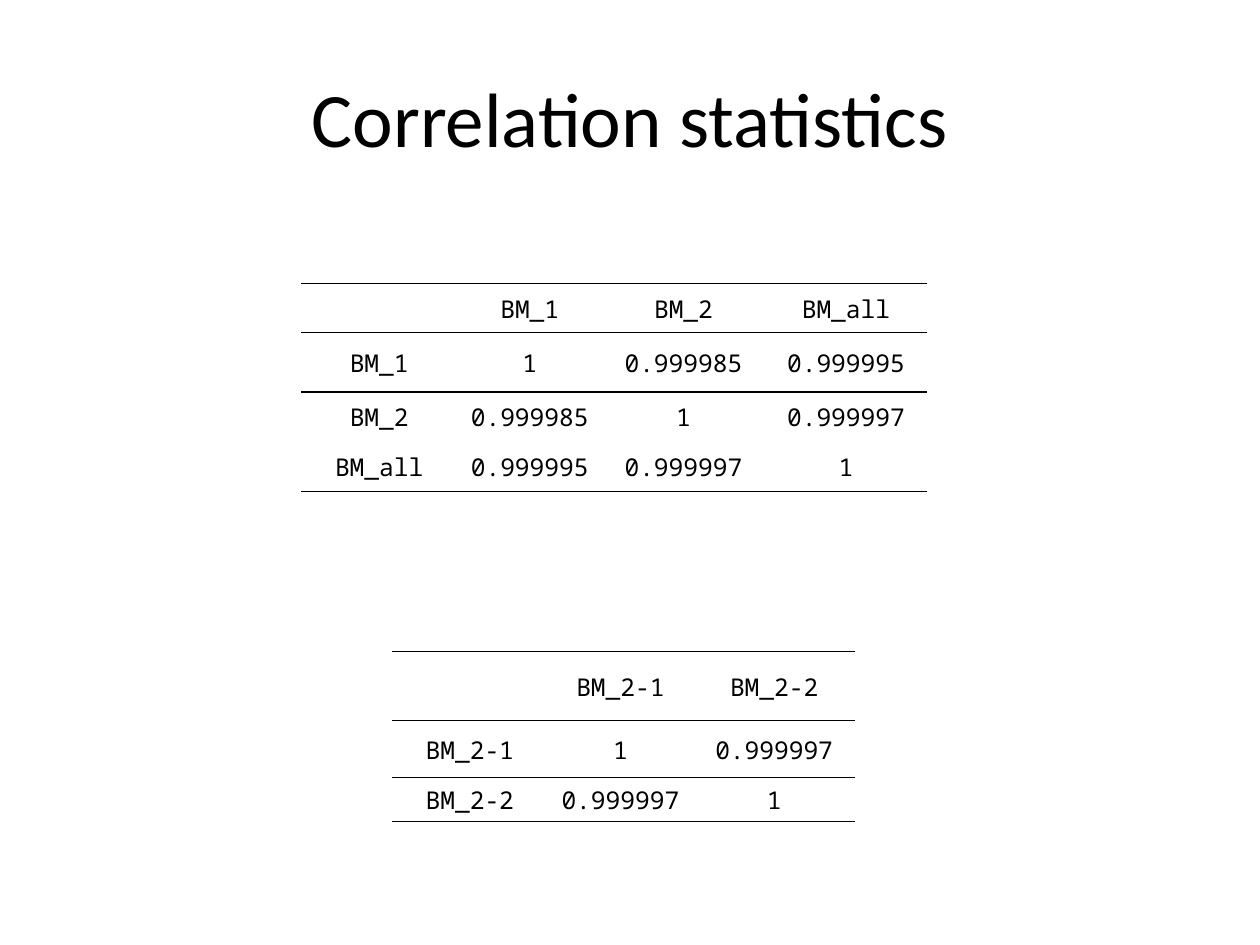
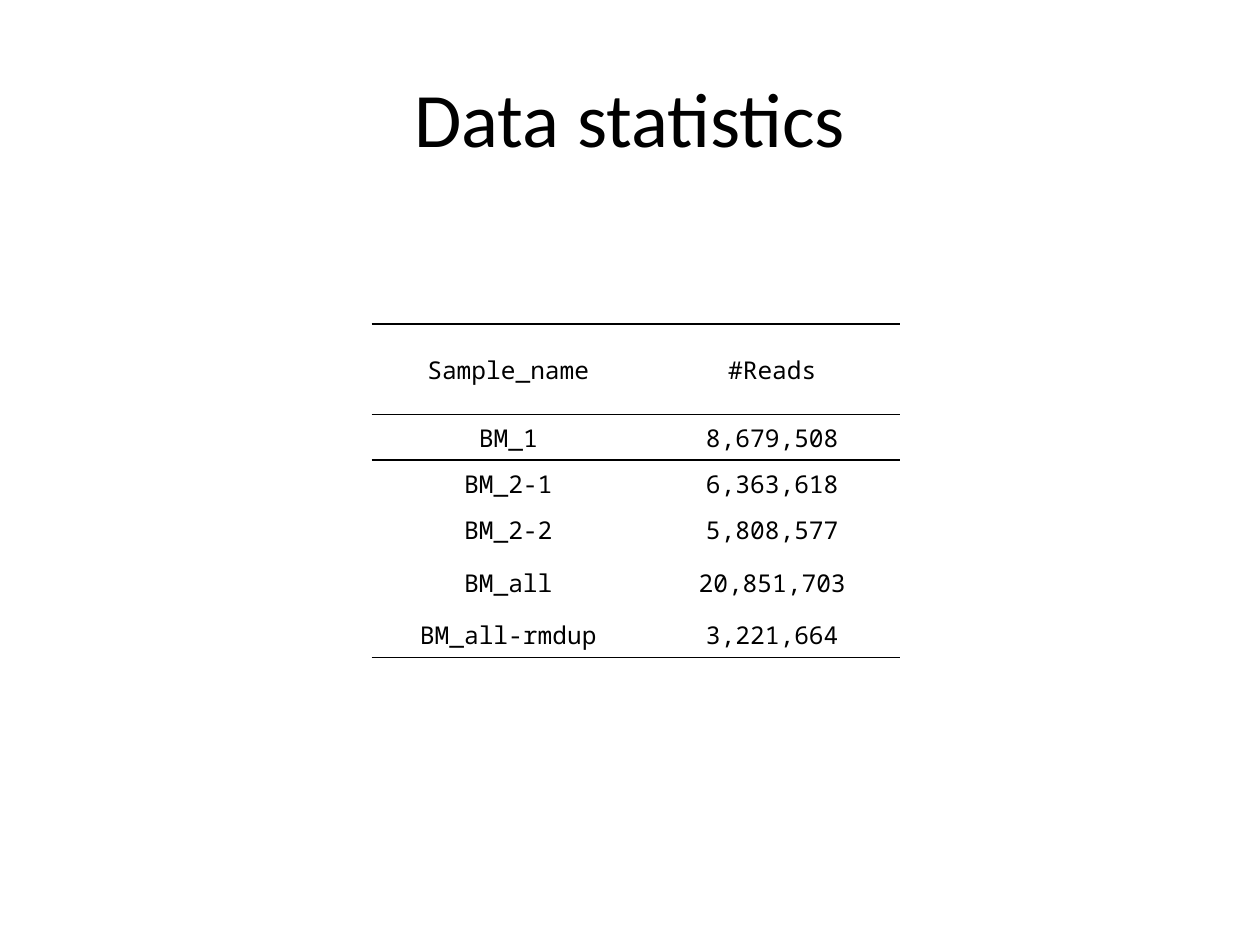
from lxml.etree import SubElement
from pptx import Presentation
from pptx.dml.color import RGBColor
from pptx.enum.text import MSO_ANCHOR as Anchor, PP_ALIGN as Align
from pptx.oxml.ns import qn
from pptx.util import Inches, Pt

INK = "000000"
TITLE_FONT, TITLE_SIZE = "Calibri", 44
TABLE_FONT, TABLE_SIZE = "Noto Sans Mono", 14
RULE_WIDTH = 1
PLAIN_TABLE_STYLE = "{2D5ABB26-0587-4C30-8999-92F81FD0307C}"

SLIDES = [
    ("Correlation statistics", [
        {"left": 2.39, "top": 2.25,
         "columns": [1.24, 1.15, 1.29, 1.29],
         "rows": [0.39, 0.47, 0.39, 0.4],
         "values": [["", "BM_1", "BM_2", "BM_all"],
                    ["BM_1", "1", "0.999985", "0.999995"],
                    ["BM_2", "0.999985", "1", "0.999997"],
                    ["BM_all", "0.999995", "0.999997", "1"]]},
        {"left": 3.11, "top": 5.17,
         "columns": [1.24, 1.15, 1.29],
         "rows": [0.55, 0.45, 0.35],
         "values": [["", "BM_2-1", "BM_2-2"],
                    ["BM_2-1", "1", "0.999997"],
                    ["BM_2-2", "0.999997", "1"]]},
    ]),
    ("Data statistics", [
        {"left": 2.95, "top": 2.57,
         "columns": [2.17, 2.02],
         "rows": [0.72, 0.36, 0.37, 0.37, 0.46, 0.37],
         "values": [["Sample_name", "#Reads"],
                    ["BM_1", "8,679,508"],
                    ["BM_2-1", "6,363,618"],
                    ["BM_2-2", "5,808,577"],
                    ["BM_all", "20,851,703"],
                    ["BM_all-rmdup", "3,221,664"]]},
    ]),
]


def write_centred(text_frame, text, font_name, size):
    paragraph = text_frame.paragraphs[0]
    paragraph.alignment = Align.CENTER
    run = paragraph.add_run()
    run.text = text
    run.font.name = font_name
    run.font.size = Pt(size)
    run.font.color.rgb = RGBColor.from_string(INK)


def add_rule(cell, side):
    """Draw the cell's top (lnT) or bottom (lnB) border."""
    properties = cell._tc.get_or_add_tcPr()
    line = SubElement(properties, qn(f"a:{side}"), w=str(Pt(RULE_WIDTH)))
    fill = SubElement(line, qn("a:solidFill"))
    SubElement(fill, qn("a:srgbClr"), val=INK)


presentation = Presentation()
presentation.slide_width = Inches(10)
presentation.slide_height = Inches(7.5)
blank_layout = presentation.slide_layouts[6]

for title, tables in SLIDES:
    slide = presentation.slides.add_slide(blank_layout)
    title_box = slide.shapes.add_textbox(Inches(0.5), Inches(0.3), Inches(9), Inches(1.25))
    title_box.text_frame.word_wrap = True
    title_box.text_frame.vertical_anchor = Anchor.MIDDLE
    write_centred(title_box.text_frame, title, TITLE_FONT, TITLE_SIZE)

    for layout in tables:
        columns, rows = layout["columns"], layout["rows"]
        last_row = len(rows) - 1
        table = slide.shapes.add_table(
            len(rows), len(columns), Inches(layout["left"]), Inches(layout["top"]),
            Inches(sum(columns)), Inches(sum(rows))).table
        table.first_row = table.horz_banding = False
        table._tbl.tblPr.find(qn("a:tableStyleId")).text = PLAIN_TABLE_STYLE
        for column, width in zip(table.columns, columns):
            column.width = Inches(width)

        for row_index, (height, values) in enumerate(zip(rows, layout["values"])):
            table.rows[row_index].height = Inches(height)
            for column_index, value in enumerate(values):
                cell = table.cell(row_index, column_index)
                cell.vertical_anchor = Anchor.MIDDLE
                cell.margin_left = cell.margin_right = cell.margin_top = Inches(0.01)
                cell.margin_bottom = 0
                # Rules enclose the header row and close the table.
                if row_index in (0, 1):
                    add_rule(cell, "lnT")
                if row_index in (0, last_row):
                    add_rule(cell, "lnB")
                cell.fill.background()
                if value:
                    write_centred(cell.text_frame, value, TABLE_FONT, TABLE_SIZE)

presentation.save("out.pptx")
